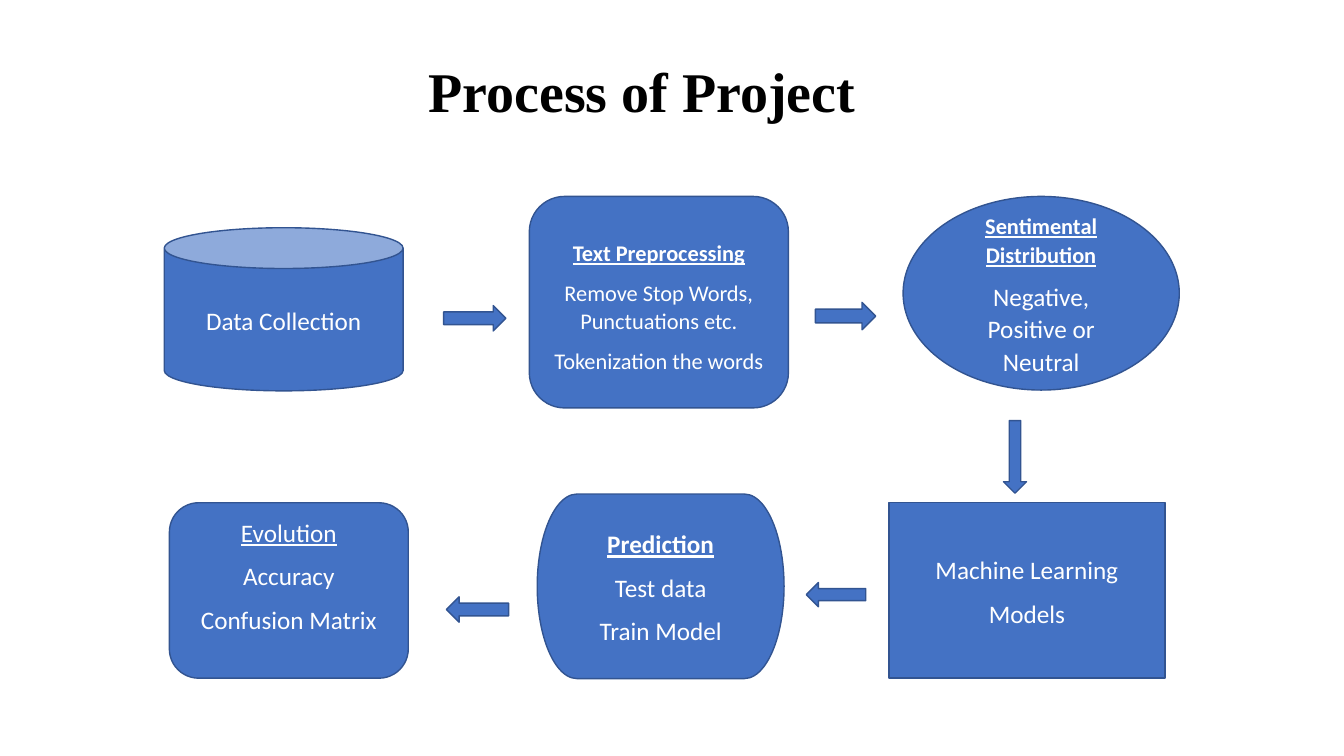
from pptx import Presentation
from pptx.dml.color import RGBColor
from pptx.enum.shapes import MSO_SHAPE as Shape
from pptx.enum.text import MSO_ANCHOR as Anchor, PP_ALIGN as Align
from pptx.util import Cm, Pt

BLUE = RGBColor(0x44, 0x72, 0xC4)
DARK_BLUE = RGBColor(0x32, 0x54, 0x91)
WHITE = RGBColor(0xFF, 0xFF, 0xFF)
BLACK = RGBColor(0x00, 0x00, 0x00)

TITLE = "Process of Project"
TITLE_BOX = (1.57, 0.53, 29.21, 3.68)

PLAIN, UNDERLINED, HEADING = (False, False), (False, True), (True, True)  # bold, underline
INSET = 0.13

# shape, (left, top, width, height) in cm, (top, bottom) inset in cm, lines of (text, size, style)
STEPS = [
    (Shape.CAN, (4.14, 5.74, 6.02, 4.11), (INSET, INSET),
     [("Data Collection", 18, PLAIN)]),
    (Shape.ROUNDED_RECTANGLE, (13.34, 4.95, 6.53, 5.33), (INSET + 0.18, INSET),
     [("Text Preprocessing", 16, HEADING),
      ("Remove Stop Words, Punctuations etc.", 16, PLAIN),
      ("Tokenization the words", 16, PLAIN)]),
    (Shape.OVAL, (22.76, 4.95, 6.96, 4.88), (INSET, INSET),
     [("Sentimental Distribution", 16, HEADING),
      ("Negative, Positive or Neutral", 18, PLAIN)]),
    (Shape.RECTANGLE, (22.4, 12.67, 6.96, 4.42), (INSET, INSET),
     [("Machine Learning", 18, PLAIN), ("Models", 18, PLAIN)]),
    (Shape.FLOWCHART_TERMINATOR, (13.54, 12.45, 6.22, 4.65), (INSET, INSET),
     [("Prediction", 18, HEADING), ("Test data", 18, PLAIN), ("Train Model", 18, PLAIN)]),
    (Shape.ROUNDED_RECTANGLE, (4.27, 12.67, 6.02, 4.42), (INSET, INSET + 0.8),
     [("Evolution", 18, UNDERLINED), ("Accuracy", 18, PLAIN), ("Confusion Matrix", 18, PLAIN)]),
]

ARROWS = [
    (Shape.RIGHT_ARROW, (11.18, 7.7, 1.57, 0.64)),
    (Shape.RIGHT_ARROW, (20.55, 7.62, 1.52, 0.69)),
    (Shape.DOWN_ARROW, (25.29, 10.6, 0.58, 1.83)),
    (Shape.LEFT_ARROW, (20.32, 14.68, 1.5, 0.61)),
    (Shape.LEFT_ARROW, (11.25, 15.04, 1.57, 0.64)),
]


def add_blue_shape(page, kind, place):
    shape = page.shapes.add_shape(kind, *map(Cm, place))
    shape.shadow.inherit = False
    shape.fill.solid()
    shape.fill.fore_color.rgb = BLUE
    shape.line.color.rgb = DARK_BLUE
    shape.line.width = Pt(1)
    return shape


def format_line(para, font_name, size, color, style, spacing):
    para.alignment = Align.CENTER
    para.line_spacing = spacing
    for span in para.runs:
        span.font.name = font_name
        span.font.size = Pt(size)
        span.font.color.rgb = color
        span.font.bold, span.font.underline = style


def add_step(page, kind, place, insets, lines):
    frame = add_blue_shape(page, kind, place).text_frame
    frame.word_wrap = True
    frame.vertical_anchor = Anchor.MIDDLE
    frame.margin_top, frame.margin_bottom = map(Cm, insets)
    frame.text = "\n".join(text for text, _, _ in lines)
    for para, (_, size, style) in zip(frame.paragraphs, lines):
        format_line(para, "Calibri", size, WHITE, style, 1.07)
        para.space_after = Pt(8)
        if kind == Shape.CAN:
            para.space_before = Pt(10)


def add_title(page):
    frame = page.shapes.add_textbox(*map(Cm, TITLE_BOX)).text_frame
    frame.word_wrap = True
    frame.vertical_anchor = Anchor.MIDDLE
    frame.text = TITLE
    format_line(frame.paragraphs[0], "Times New Roman", 40, BLACK, (True, False), 0.9)


def main():
    deck = Presentation()
    deck.slide_width, deck.slide_height = Cm(33.87), Cm(19.05)
    page = deck.slides.add_slide(deck.slide_layouts[6])
    add_title(page)
    for step in STEPS:
        add_step(page, *step)
    for kind, place in ARROWS:
        add_blue_shape(page, kind, place)
    deck.save("out.pptx")


if __name__ == "__main__":
    main()
